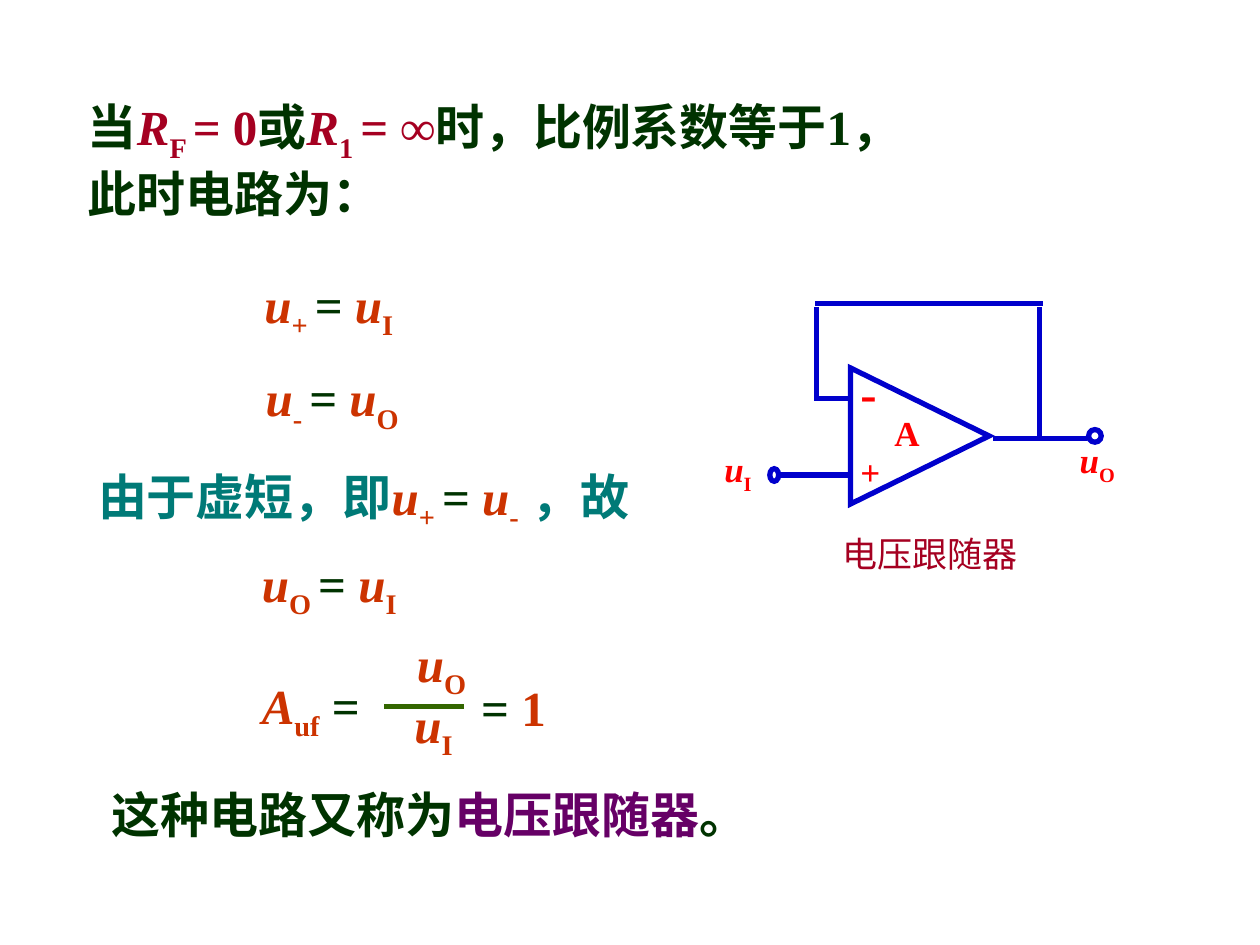
from lxml import etree
from pptx import Presentation
from pptx import util as u
from pptx.dml.color import RGBColor
from pptx.enum import shapes, text
from pptx.oxml.ns import qn

COLORS = {
    "green": "003300", "crimson": "A50021", "rust": "CC3300", "teal": "007A77",
    "purple": "660066", "red": "FF0000", "blue": "0000CC", "bar": "336600",
}
LATIN, CJK = "Times New Roman", "Noto Sans CJK SC"
BODY, LABEL = 28, 20
EQUALS = ("= ", "green", "")


def symbol(letter, index, color="rust"):
    """Runs of an italic letter with an upright subscript."""
    return [(letter, color, "italic"), (index, color, "sub")]


# Each text: left, top, width, height, paragraphs of (wording, colour, style) runs
INTRO = [
    [("当", "green", ""), *symbol("R", "F ", "crimson"), ("= 0", "crimson", ""),
     ("或", "green", ""), *symbol("R", "1 ", "crimson"), ("= ∞", "crimson", ""),
     ("时，比例系数等于1，", "green", "")],
    [("此时电路为：", "green", "")],
]
STATEMENTS = [
    (0.6, 0.72, 8.6, 1.1, INTRO),
    (2, 2.13, 2, 0.63, [[*symbol("u", "+ "), EQUALS, *symbol("u", "I")]]),
    (2.01, 2.87, 2, 0.63, [[*symbol("u", "- "), EQUALS, *symbol("u", "O")]]),
    (0.68, 3.65, 4.73, 0.63, [[("由于虚短，即", "teal", ""), *symbol("u", "+ "), EQUALS,
                               *symbol("u", "-"), (" ，故", "teal", "")]]),
    (1.98, 4.34, 2, 0.63, [[*symbol("u", "O "), EQUALS, *symbol("u", "I")]]),
    (0.79, 6.18, 8.49, 0.57, [[("这种电路又称为", "green", ""),
                               ("电压跟随器", "purple", ""), ("。", "green", "")]]),
]
GAIN = [
    (1.98, 5.31, 1.06, 0.63, [[*symbol("A", "uf"), (" =", "green", "")]]),
    (3.21, 4.98, 0.65, 0.63, [symbol("u", "O")]),
    (3.19, 5.46, 0.65, 0.63, [symbol("u", "I")]),
    (3.72, 5.33, 0.82, 0.57, [[EQUALS, ("1", "rust", "")]]),
]
FRACTION_BAR = (3.05, 5.61, 3.68, 5.61)

CIRCUIT_LABELS = [
    (6.73, 3.53, 0.55, 0.44, [[("+", "red", "")]]),
    (7, 3.22, 0.66, 0.44, [[("A", "red", "")]]),
    (8.47, 3.43, 0.64, 0.48, [symbol("u", "O", "red")]),
    (5.65, 3.5, 0.64, 0.48, [symbol("u", "I", "red")]),
]
MINUS = (6.73, 2.83, 0.47, 0.57, [[("-", "red", "")]])
CAPTION = (6.59, 4.18, 1.94, 0.44, [[("电压跟随器", "crimson", "plain")]])

AMPLIFIER = (6.76, 2.91, 1.08, 1.1)
TERMINALS = [(6.11, 3.72, 0.07, 0.1), (8.64, 3.41, 0.1, 0.1)]
LOOP_LEFT, LOOP_RIGHT, LOOP_TOP = 6.48, 8.25, 2.41
MINUS_Y, PLUS_Y, OUTPUT_Y = 3.16, 3.77, 3.48
WIRES = [
    (6.18, PLUS_Y, 6.74, PLUS_Y),
    (LOOP_LEFT, MINUS_Y, 6.73, MINUS_Y),
    (LOOP_LEFT, LOOP_TOP + 0.03, LOOP_LEFT, MINUS_Y + 0.02),
    (LOOP_LEFT - 0.01, LOOP_TOP, LOOP_RIGHT + 0.03, LOOP_TOP),
    (LOOP_RIGHT, LOOP_TOP + 0.03, LOOP_RIGHT, OUTPUT_Y - 0.02),
    (7.88, OUTPUT_Y, 8.63, OUTPUT_Y),
]


def rgb(name):
    return RGBColor.from_string(COLORS[name])


def inches(values):
    return [u.Inches(value) for value in values]


def write(parent, item, size=BODY):
    *place, paragraphs = item
    box = parent.add_textbox(*inches(place))
    frame = box.text_frame
    frame.word_wrap = True
    frame.auto_size = text.MSO_AUTO_SIZE.SHAPE_TO_FIT_TEXT
    for number, runs in enumerate(paragraphs):
        para = frame.add_paragraph() if number else frame.paragraphs[0]
        for wording, color, style in runs:
            span = para.add_run()
            span.text = wording
            span.font.size = u.Pt(size)
            span.font.bold = style != "plain"
            span.font.italic = style == "italic"
            span.font.color.rgb = rgb(color)
            span.font.name = CJK if style == "plain" else LATIN
            props = span._r.get_or_add_rPr()
            etree.SubElement(props, qn("a:ea")).set("typeface", CJK)
            if style == "sub":
                props.set("baseline", "-25000")


def draw_line(parent, ends, color):
    line = parent.add_connector(shapes.MSO_CONNECTOR.STRAIGHT, *inches(ends))
    line.line.color.rgb = rgb(color)
    line.line.width = u.Pt(3)
    etree.SubElement(line._element.spPr, qn("a:effectLst"))


def draw_outline(parent, kind, place):
    """Unfilled blue shape with sharp corners."""
    shape = parent.add_shape(kind, *inches(place))
    shape.shadow.inherit = False
    shape.fill.background()
    shape.line.color.rgb = rgb("blue")
    shape.line.width = u.Pt(3)
    stroke = shape._element.spPr.find(qn("a:ln"))
    etree.SubElement(stroke, qn("a:miter")).set("lim", "800000")
    return shape


def draw_circuit(parent):
    amplifier = draw_outline(parent, shapes.MSO_SHAPE.ISOSCELES_TRIANGLE, AMPLIFIER)
    amplifier.rotation = 90
    for wire in WIRES:
        draw_line(parent, wire, "blue")
    for terminal in TERMINALS:
        draw_outline(parent, shapes.MSO_SHAPE.OVAL, terminal)
    for label in CIRCUIT_LABELS + [CAPTION]:
        write(parent, label, LABEL)
    write(parent, MINUS)


def draw_gain(parent):
    draw_line(parent, FRACTION_BAR, "bar")
    for item in GAIN:
        write(parent, item)


def main():
    deck = Presentation()
    deck.slide_width, deck.slide_height = inches((10, 7.5))
    page = deck.slides.add_slide(deck.slide_layouts[6])
    draw_circuit(page.shapes.add_group_shape().shapes)
    draw_gain(page.shapes.add_group_shape().shapes)
    for item in STATEMENTS:
        write(page.shapes, item)
    deck.save("out.pptx")


if __name__ == "__main__":
    main()
